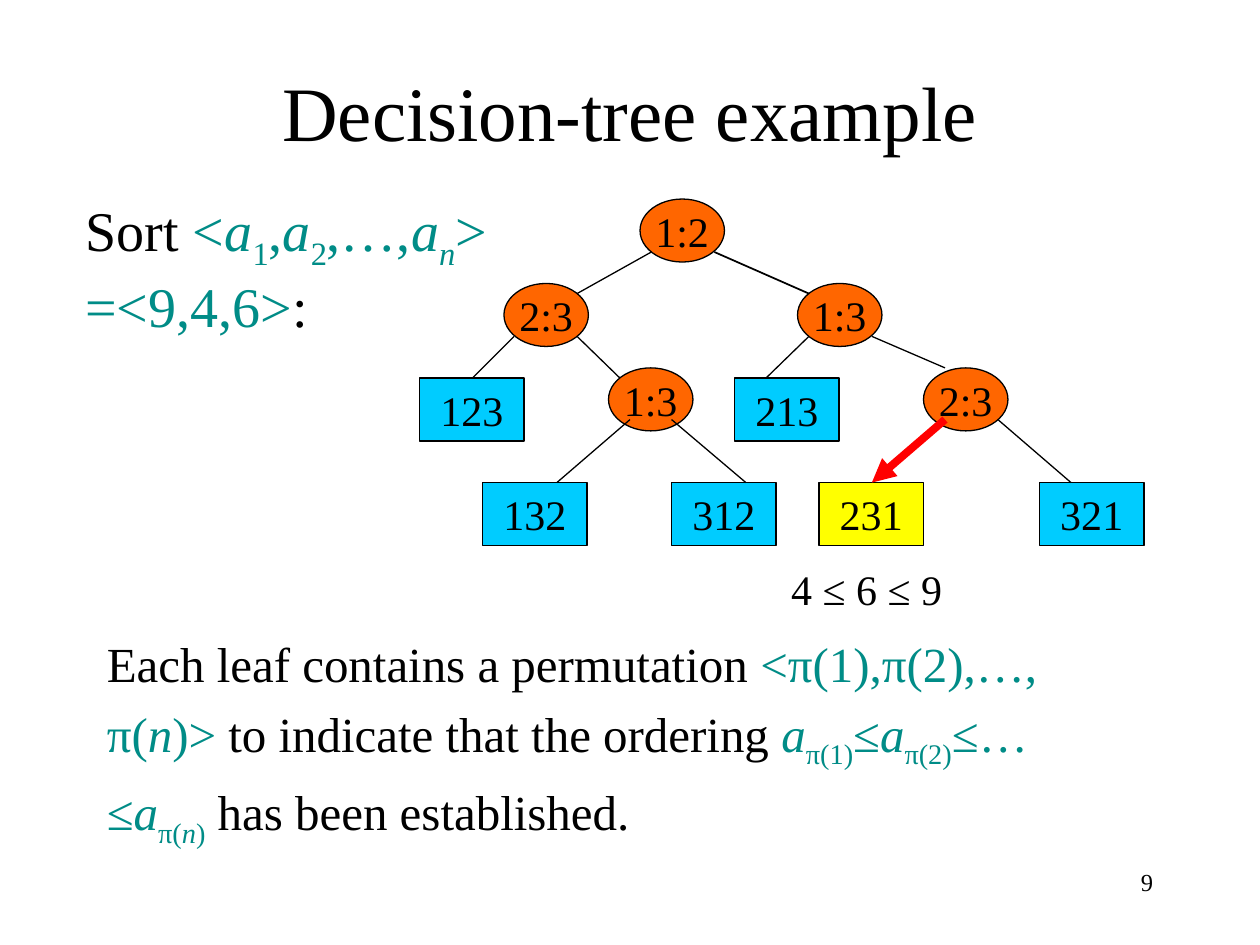
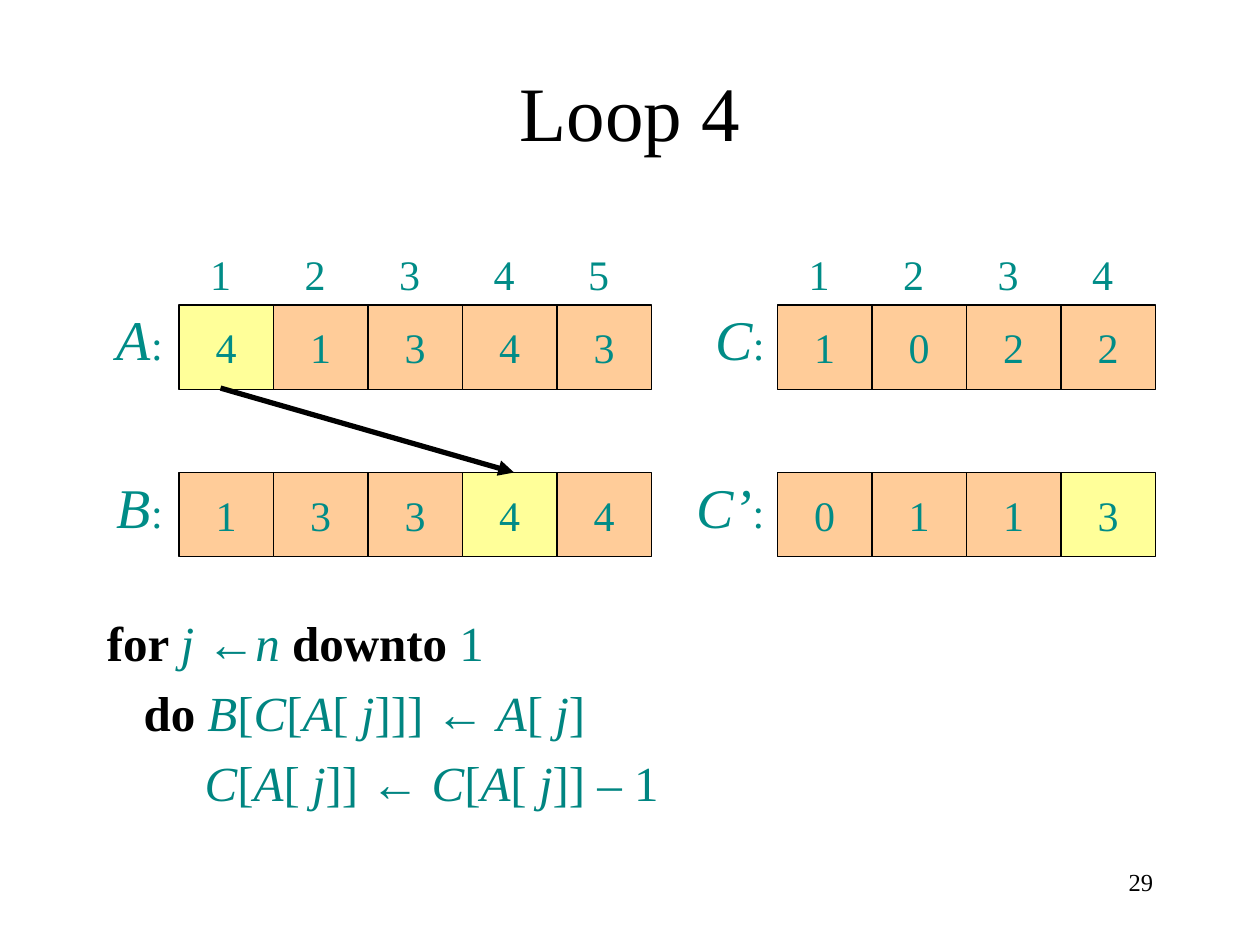
from dataclasses import dataclass
from itertools import groupby

from lxml import etree
from pptx import Presentation
from pptx.dml.color import RGBColor
from pptx.enum.shapes import MSO_CONNECTOR, MSO_SHAPE
from pptx.enum.text import MSO_ANCHOR, MSO_AUTO_SIZE, PP_ALIGN
from pptx.oxml.ns import qn
from pptx.util import Inches, Pt

OVAL, RECT = MSO_SHAPE.OVAL, MSO_SHAPE.RECTANGLE
LINE = MSO_CONNECTOR.STRAIGHT
LEFT, CENTER, RIGHT = PP_ALIGN.LEFT, PP_ALIGN.CENTER, PP_ALIGN.RIGHT
MIDDLE = MSO_ANCHOR.MIDDLE
FIXED = MSO_AUTO_SIZE.NONE

SERIF, SANS = "Times New Roman", "Arial"
BLACK, TEAL, PINE = "000000", "008C87", "008581"
ORANGE, BLUE, YELLOW, RED = "FF6600", "00CCFF", "FFFF00", "FF0000"
PEACH, CREAM = "FFCC99", "FFFF99"
PITCH = 0.75
CELL = 0.67


@dataclass(frozen=True)
class Node:
    text: str
    left: float
    top: float
    fill: str = BLUE


@dataclass(frozen=True)
class Edge:
    start: tuple[float, float]
    end: tuple[float, float]
    hue: str = BLACK
    width: float = 0.75
    arrow: bool = False


@dataclass(frozen=True)
class Row:
    name: str
    label: float
    left: float
    top: float
    values: str
    mark: int = -1


TESTS = [
    Node("1:2", 5.08, 1.58, ORANGE),
    Node("2:3", 7.33, 2.92, ORANGE),
    Node("1:3", 4.83, 2.92, ORANGE),
    Node("1:3", 6.33, 2.25, ORANGE),
    Node("2:3", 4, 2.25, ORANGE),
]
LEAVES = [
    Node("123", 3.33, 3),
    Node("213", 5.83, 3),
    Node("312", 5.33, 3.83),
    Node("132", 3.83, 3.83),
    Node("231", 6.5, 3.83, YELLOW),
    Node("321", 8.25, 3.83),
]
EDGES = [
    Edge((5.17, 2), (4.58, 2.33)),
    Edge((5.67, 2), (6.42, 2.33), width=1),
    Edge((4.08, 2.67), (3.75, 3)),
    Edge((4.58, 2.67), (4.92, 3)),
    Edge((5, 3.33), (4.42, 3.83)),
    Edge((5.33, 3.33), (5.92, 3.83)),
    Edge((7.5, 3.33), (6.92, 3.83), RED, 4.5, True),
    Edge((7.92, 3.33), (8.5, 3.83)),
    Edge((6.92, 2.67), (7.5, 2.92)),
    Edge((6.42, 2.67), (6.08, 3)),
]
ROWS = [
    Row("A", 0.83, 1.42, 2.42, "41343", 0),
    Row("C", 5.58, 6.17, 2.42, "1022"),
    Row("B", 0.83, 1.42, 3.75, "13344", 3),
    Row("C’", 5.43, 6.17, 3.75, "0113", 3),
]
MOVE = Edge((1.75, 3.08), (4.08, 3.75), width=3, arrow=True)


def paint(target, hue: str) -> None:
    target.rgb = RGBColor.from_string(hue)


def style(para, size: float, hue: str = BLACK, align=LEFT) -> None:
    para.alignment = align
    para.font.name = SERIF
    para.font.size = Pt(size)
    paint(para.font.color, hue)


def kind(char: str) -> str:
    if char == "←":
        return "arrow"
    return "letter" if char.isascii() and char.isalpha() or char == "’" else "sign"


def add_math(para, text: str, hue: str) -> None:
    for turn, part in enumerate(text.split("~")):
        for sort, chars in groupby(part, kind):
            run = para.add_run()
            run.text = "".join(chars)
            paint(run.font.color, hue)
            if sort == "letter":
                run.font.italic = True
            if sort == "arrow":
                run.font.name = SANS
            if turn % 2:
                run._r.get_or_add_rPr().set("baseline", "-25000")


def fill_para(para, text: str, hue: str, bold: bool) -> None:
    for turn, part in enumerate(text.split("$")):
        if turn % 2:
            add_math(para, part, hue)
        elif part:
            run = para.add_run()
            run.text = part
            if bold:
                run.font.bold = True


def add_text(slide, lines: list[str], box: tuple, size: float, hue: str = TEAL,
             align=LEFT, gap: float = 0, bold: bool = False):
    frame = slide.shapes.add_textbox(*map(Inches, box)).text_frame
    frame.word_wrap = True
    for num, text in enumerate(lines):
        para = frame.add_paragraph() if num else frame.paragraphs[0]
        fill_para(para, text, hue, bold)
        style(para, size, align=align)
        if num and gap:
            para.space_before = Pt(gap)
    return frame


def add_node(slide, form, node: Node, width: float, height: float, hue: str = BLACK) -> None:
    box = map(Inches, (node.left, node.top, width, height))
    shape = slide.shapes.add_shape(form, *box)
    shape.shadow.inherit = False
    shape.fill.solid()
    paint(shape.fill.fore_color, node.fill)
    paint(shape.line.color, BLACK)
    shape.line.width = Pt(0.75)
    frame = shape.text_frame
    frame.word_wrap = False
    frame.vertical_anchor = MIDDLE
    frame.text = node.text
    style(frame.paragraphs[0], 24, hue, CENTER)


def add_edge(slide, edge: Edge) -> None:
    ends = map(Inches, edge.start + edge.end)
    line = slide.shapes.add_connector(LINE, *ends)
    paint(line.line.color, edge.hue)
    line.line.width = Pt(edge.width)
    if edge.arrow:
        etree.SubElement(line.line._get_or_add_ln(), qn("a:tailEnd"), type="triangle")
    etree.SubElement(line._element.spPr, qn("a:effectLst"))


def add_heads(slide, left: float, count: int) -> None:
    text = "\t".join(str(num + 1) for num in range(count))
    box = (left + 0.15, 1.92, count * PITCH, 0.5)
    para = add_text(slide, [], box, 24).paragraphs[0]
    para.text = text
    tabs = etree.SubElement(para._p.get_or_add_pPr(), qn("a:tabLst"))
    for num in range(1, count):
        etree.SubElement(tabs, qn("a:tab"), pos=str(Inches(num * PITCH)), algn="l")
    style(para, 24, TEAL)


def add_row(slide, row: Row) -> None:
    for num, value in enumerate(row.values):
        tone = CREAM if num == row.mark else PEACH
        node = Node(value, row.left + num * PITCH, row.top, tone)
        add_node(slide, RECT, node, PITCH, CELL, TEAL)
    box = (row.label, row.top - 0.05, 0.8, 0.63)
    frame = add_text(slide, [f"${row.name}:$"], box, 32)
    frame.paragraphs[0].runs[-1].font.size = Pt(24)


def new_slide(deck, title: str, page: int):
    slide = deck.slides.add_slide(deck.slide_layouts[5])
    head = slide.shapes.title
    head.left, head.top, head.width, head.height = map(Inches, (0.75, 0.25, 8.5, 1.25))
    frame = head.text_frame
    frame.text = title
    frame.auto_size = FIXED
    frame.vertical_anchor = MIDDLE
    style(frame.paragraphs[0], 44, align=CENTER)
    add_text(slide, [str(page)], (7.17, 6.83, 2.08, 0.5), 14, align=RIGHT)
    return slide


def draw_tree(deck) -> None:
    slide = new_slide(deck, "Decision-tree example", 9)
    add_text(slide, [
        "Each leaf contains a permutation $<π(1),π(2),…,$",
        "$π(n)>$ to indicate that the ordering $a~π(1)~≤a~π(2)~≤…$",
        "$≤a~π(n)~$ has been established.",
    ], (0.75, 4.98, 8.5, 1.7), 28, gap=6.4)
    for node in TESTS:
        add_node(slide, OVAL, node, 0.67, 0.5)
    for node in LEAVES:
        add_node(slide, RECT, node, 0.83, 0.5)
    for edge in EDGES:
        add_edge(slide, edge)
    add_text(slide, ["Sort $<a~1~,a~2~,…,a~n~>$", "$=<9,4,6>$:"], (0.58, 1.5, 3.6, 1.17), 32)
    add_text(slide, ["4 ≤ 6 ≤ 9"], (6.18, 4.42, 1.5, 0.5), 24)


def draw_loop(deck) -> None:
    slide = new_slide(deck, "Loop 4", 29)
    add_text(slide, [
        "for $j ←n $downto $1$",
        "   do $B[C[A[ j]]] ← A[ j]$",
        "$        C[A[ j]] ← C[A[ j]] – 1$",
    ], (0.75, 4.81, 8.5, 1.7), 28, PINE, gap=6.4, bold=True)
    for row in ROWS:
        add_row(slide, row)
    for row in ROWS[:2]:
        add_heads(slide, row.left, len(row.values))
    add_edge(slide, MOVE)


def main() -> None:
    deck = Presentation()
    deck.slide_width, deck.slide_height = Inches(10), Inches(7.5)
    draw_tree(deck)
    draw_loop(deck)
    deck.save("out.pptx")


if __name__ == "__main__":
    main()
